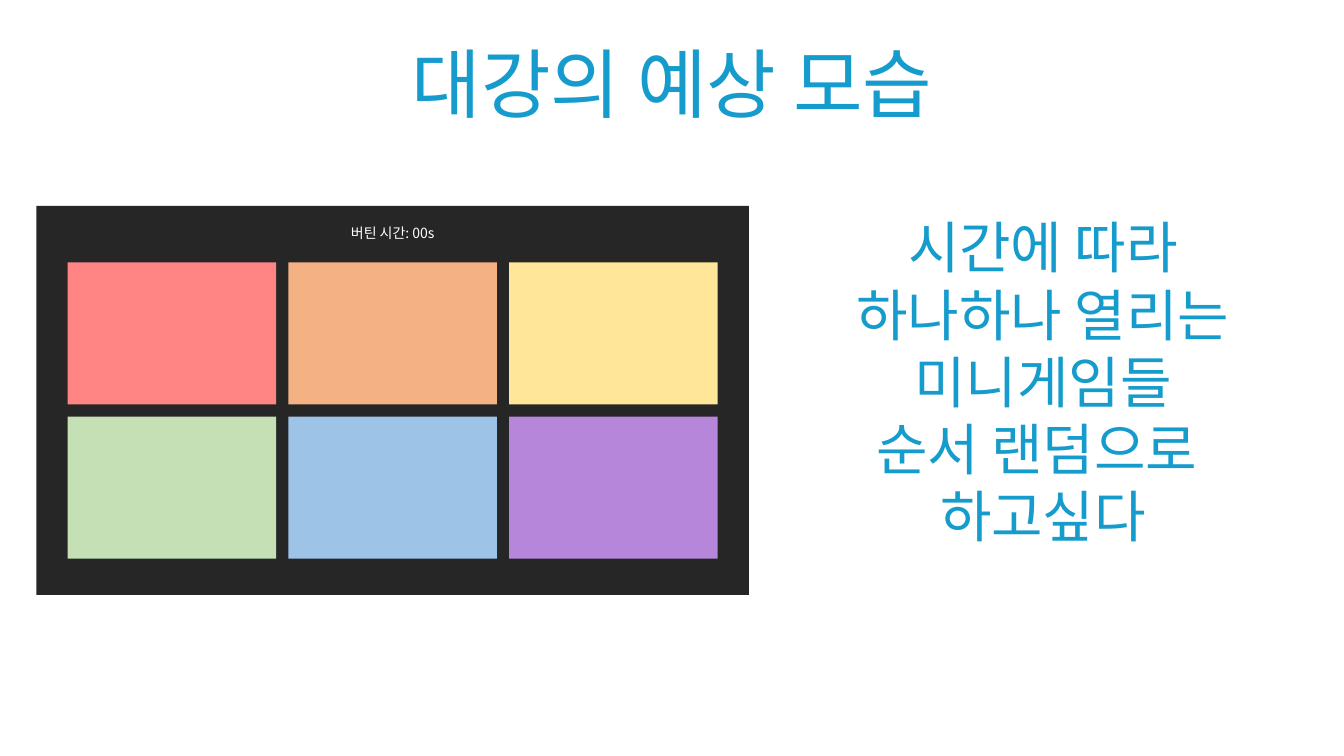
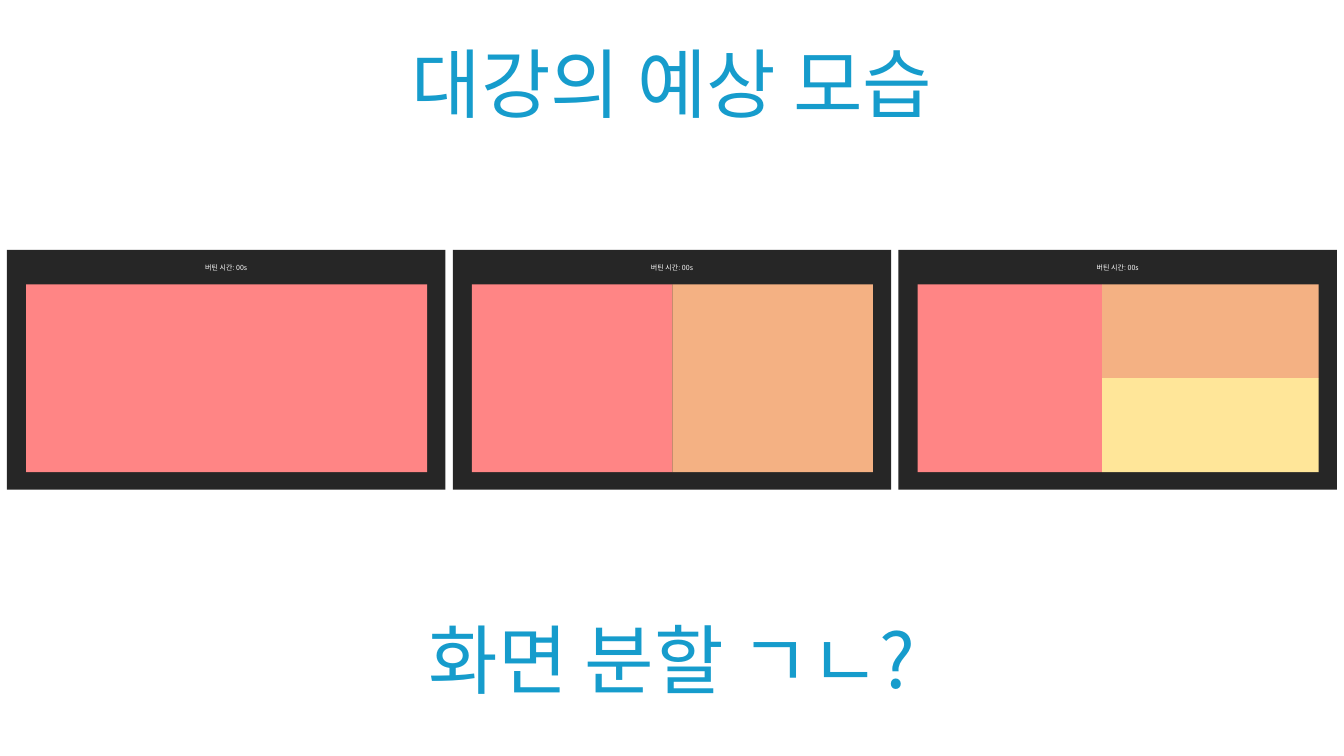
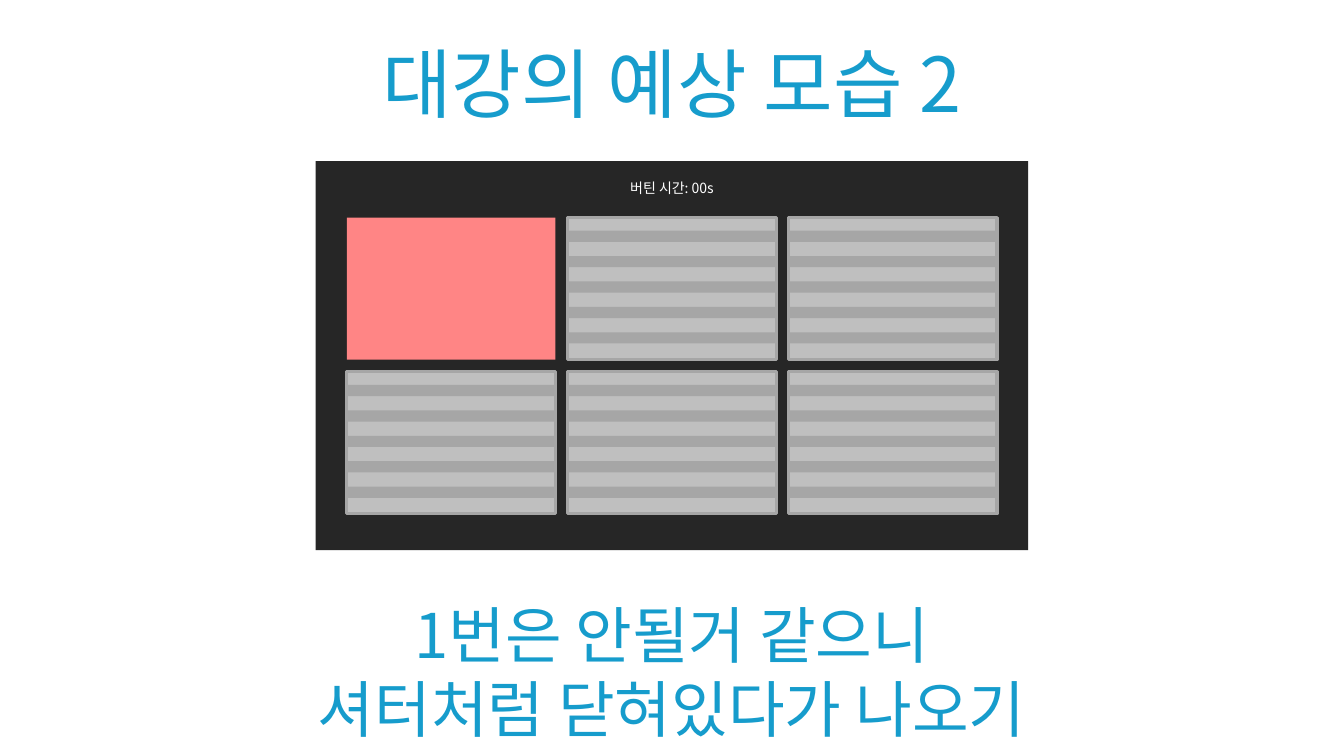
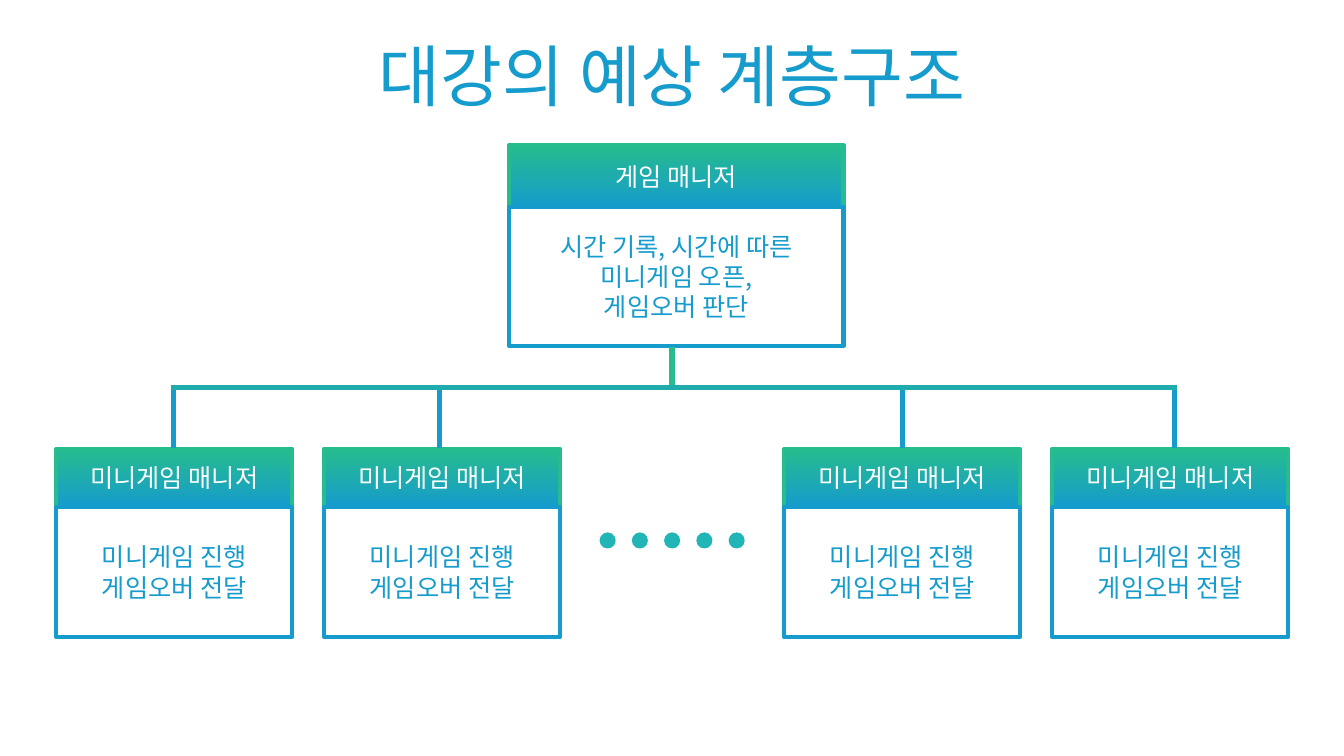
"""Build four slides that sketch a mini-game screen and its manager hierarchy."""
from lxml.etree import SubElement
from pptx import Presentation
from pptx.dml.color import RGBColor
from pptx.enum.shapes import MSO_CONNECTOR, MSO_SHAPE
from pptx.enum.text import MSO_ANCHOR, PP_ALIGN
from pptx.oxml.ns import qn
from pptx.util import Pt

COLORS = {
    "blue": "169CCC", "green": "26BC8E", "rail": "1EACAD", "dot": "22B5B7",
    "white": "FFFFFF", "screen": "262626", "slat": "A6A6A6", "shutter": "BFBFBF",
    "red": "FF8585", "orange": "F4B183", "yellow": "FFE699",
    "lime": "C5E0B4", "sky": "9DC3E6", "purple": "B686DA",
}
FONT = "Noto Sans CJK KR"
TITLE = "대강의 예상 모습"
GAME_COLORS = ["red", "orange", "yellow", "lime", "sky", "purple"]
TILE_WIDTH, TILE_HEIGHT = 149, 101.5


def rgb(name):
    return RGBColor.from_string(COLORS[name])


def write(frame, lines, size, color):
    frame.word_wrap = True
    frame.vertical_anchor = MSO_ANCHOR.MIDDLE
    for index, line in enumerate(lines):
        paragraph = frame.add_paragraph() if index else frame.paragraphs[0]
        paragraph.alignment = PP_ALIGN.CENTER
        run = paragraph.add_run()
        run.text = line
        run.font.size = Pt(size)
        run.font.name = FONT
        run.font.color.rgb = rgb(color)
        SubElement(run._r.get_or_add_rPr(), qn("a:ea"), typeface=FONT)


def add_text(shapes, lines, left, top, width, height, size, color="blue"):
    box = shapes.add_textbox(Pt(left), Pt(top), Pt(width), Pt(height))
    write(box.text_frame, lines, size, color)


def add_title(slide, text, top=22, size=54):
    add_text(slide.shapes, [text], 140, top, 680, 73, size)


def add_block(shapes, left, top, width, height, fill=None, border=None,
              border_width=3, kind=MSO_SHAPE.RECTANGLE):
    block = shapes.add_shape(kind, Pt(left), Pt(top), Pt(width), Pt(height))
    block.shadow.inherit = False
    if fill:
        block.fill.solid()
        block.fill.fore_color.rgb = rgb(fill)
    else:
        block.fill.background()
    if border:
        block.line.color.rgb = rgb(border)
        block.line.width = Pt(border_width)
    else:
        block.line.fill.background()
    return block


def add_screen(shapes, left, top, width, height, label_height, label_size):
    add_block(shapes, left, top, width, height, "screen")
    add_text(shapes, ["버틴 시간: 00s"], left, top, width, label_height,
             label_size, "white")


def add_game_screen(shapes, left, top):
    """Draw the large screen and return the corners of its six tiles."""
    add_screen(shapes, left, top, 509, 278, 39, 10)
    return [(left + 22.3 + column * 157.7, top + 40.4 + row * 110.2)
            for row in range(2) for column in range(3)]


def add_shutter(slide, left, top):
    shapes = slide.shapes.add_group_shape().shapes
    add_block(shapes, left, top, TILE_WIDTH, TILE_HEIGHT, "shutter", "slat", 2.25)
    for slat in range(5):
        add_block(shapes, left, top + 9.4 + slat * 18.15, TILE_WIDTH, 8, "slat")


def add_split_screen(shapes, left, panes):
    """Draw a small screen whose panes are given as shares of its play area."""
    top, play_width, play_height = 178.5, 286.5, 134
    add_screen(shapes, left, top, 313.2, 171.2, 25.5, 5)
    for color, x, y, width, height in panes:
        add_block(shapes, left + 13.7 + x * play_width, top + 24.7 + y * play_height,
                  width * play_width, height * play_height, color)


def add_manager(shapes, left, top, width, header_height, body_height, name, duties):
    header = add_block(shapes, left, top, width, header_height, border="green")
    header.fill.gradient()
    header.fill.gradient_angle = 270
    for stop, color in zip(header.fill.gradient_stops, ["green", "blue"]):
        stop.color.rgb = rgb(color)
    write(header.text_frame, [name], 18, "white")
    body = add_block(shapes, left, top + header_height, width, body_height, border="blue")
    write(body.text_frame, duties, 18, "blue")


def add_branch(shapes, start, end, color):
    branch = shapes.add_connector(MSO_CONNECTOR.STRAIGHT, *map(Pt, start + end))
    branch.line.color.rgb = rgb(color)
    branch.line.width = Pt(3.6)
    SubElement(branch._element.spPr, qn("a:effectLst"))


def build_mini_games(slide):
    corners = add_game_screen(slide.shapes, 26, 147)
    for (left, top), color in zip(corners, GAME_COLORS):
        add_block(slide.shapes, left, top, TILE_WIDTH, TILE_HEIGHT, color)
    add_title(slide, TITLE)
    add_text(slide.shapes, ["시간에 따라", "하나하나 열리는", "미니게임들",
                            "순서 랜덤으로 ", "하고싶다"], 540, 147, 410, 250, 40)


def build_split_screens(slide):
    add_title(slide, TITLE)
    layouts = [
        [("red", 0, 0, 1, 1)],
        [("red", 0, 0, 0.5, 1), ("orange", 0.5, 0, 0.5, 1)],
        [("red", 0, 0, 0.46, 1), ("orange", 0.46, 0, 0.54, 0.5),
         ("yellow", 0.46, 0.5, 0.54, 0.5)],
    ]
    for index, panes in enumerate(layouts):
        add_split_screen(slide.shapes, 5 + index * 318.4, panes)
    add_text(slide.shapes, ["화면 분할 ㄱㄴ?"], 133, 433.5, 694, 73, 54)


def build_shutters(slide):
    add_title(slide, TITLE + " 2")
    first, *closed = add_game_screen(slide.shapes, 225.5, 115)
    add_block(slide.shapes, *first, TILE_WIDTH, TILE_HEIGHT, "red")
    for corner in closed:
        add_shutter(slide, *corner)
    add_text(slide.shapes, ["1번은 안될거 같으니", "셔터처럼 닫혀있다가 나오기"],
             133, 422, 694, 114, 44)


def build_hierarchy(slide):
    shapes = slide.shapes
    add_title(slide, "대강의 예상 계층구조", 16.5, 48)
    add_manager(shapes, 363.6, 103.7, 239, 44, 99.4, "게임 매니저",
                ["시간 기록, 시간에 따른", "미니게임 오픈,", "게임오버 판단"])
    for left in (40.3, 231.5, 560.2, 751.7):
        add_manager(shapes, left, 320.6, 168.5, 41.5, 92.9, "미니게임 매니저",
                    ["미니게임 진행", "게임오버 전달"])
    for index in range(5):
        add_block(shapes, 428.3 + index * 23.04, 380.3, 11.5, 11.5, "dot",
                  kind=MSO_SHAPE.OVAL)
    rail = 276.5
    drops = [124.2, 313.8, 644.8, 839.2]
    for x in drops:
        add_branch(shapes, (x, rail - 1.8), (x, 320), "blue")
    add_branch(shapes, (drops[0] - 1.8, rail), (drops[-1] + 1.8, rail), "rail")
    add_branch(shapes, (480, 248), (480, rail - 1.8), "green")


def main():
    deck = Presentation()
    deck.slide_width, deck.slide_height = Pt(960), Pt(540)
    for build in (build_mini_games, build_split_screens, build_shutters, build_hierarchy):
        build(deck.slides.add_slide(deck.slide_layouts[6]))
    deck.save("out.pptx")


main()
